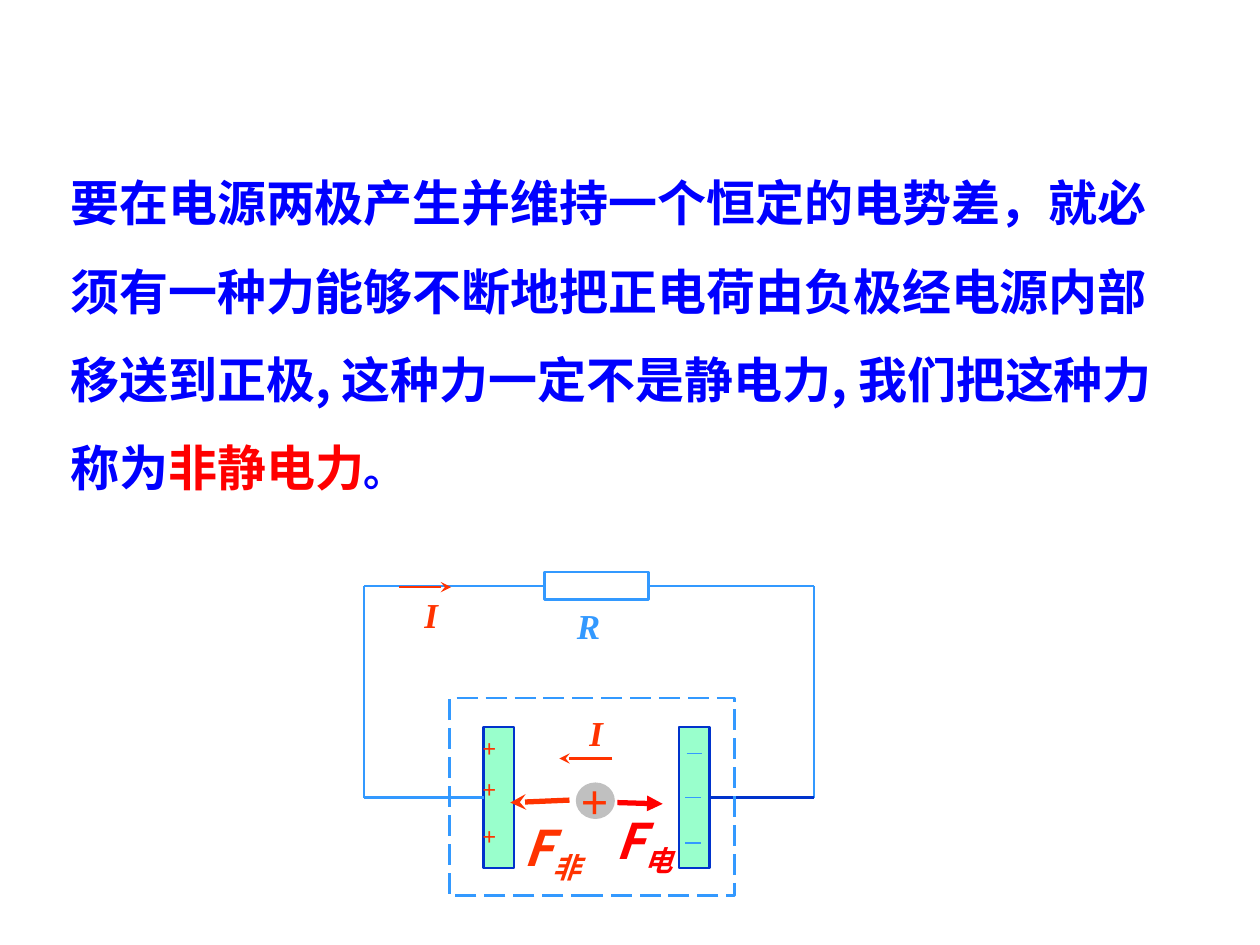
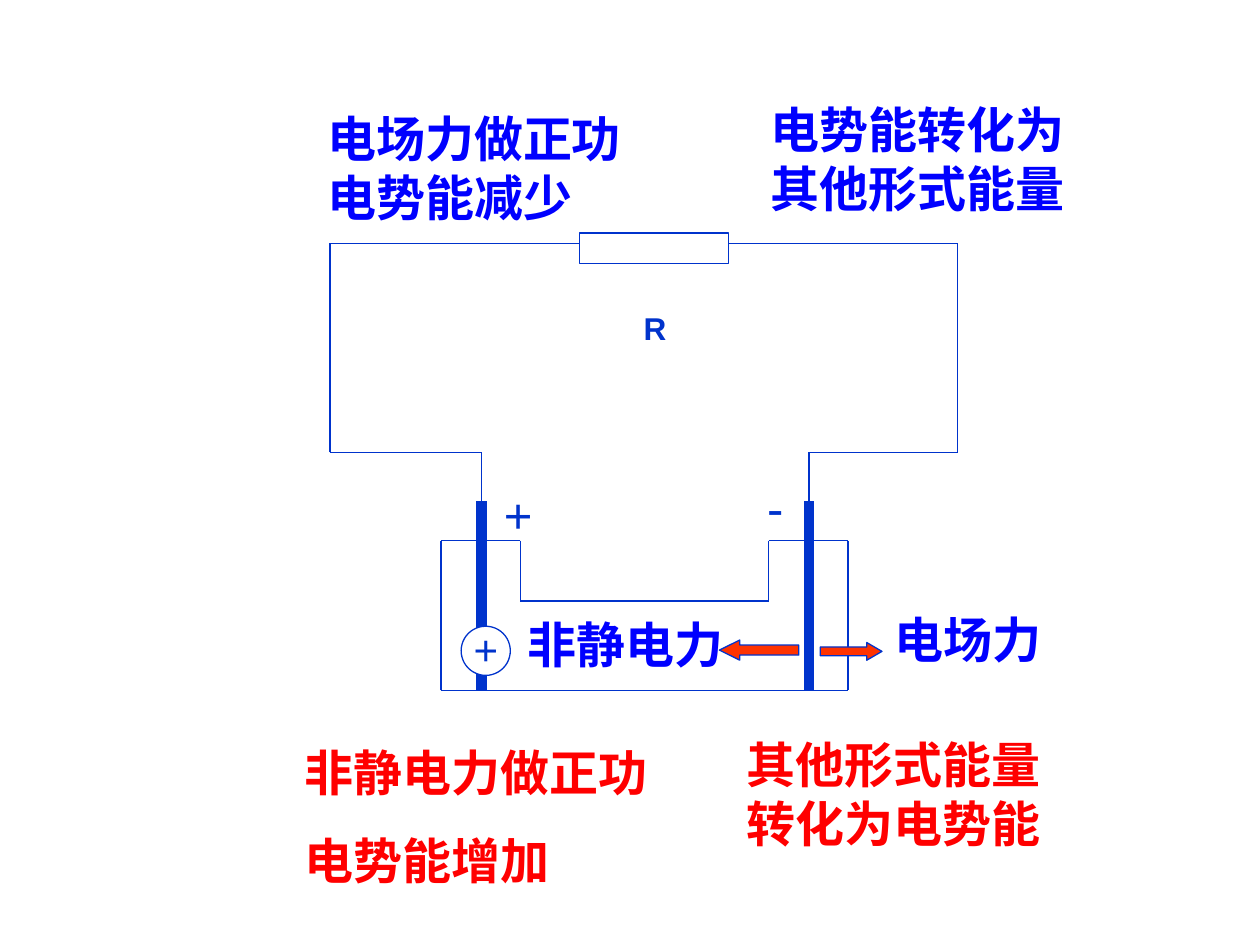
"""Build two slides on the non-electrostatic force in a circuit."""
from lxml.etree import SubElement
from pptx import Presentation
from pptx.dml.color import RGBColor
from pptx.enum.dml import MSO_LINE
from pptx.enum.shapes import MSO_CONNECTOR, MSO_SHAPE
from pptx.enum.text import PP_ALIGN
from pptx.oxml.ns import qn
from pptx.util import Inches, Pt

RECT, OVAL = MSO_SHAPE.RECTANGLE, MSO_SHAPE.OVAL
RIGHT, LEFT = MSO_SHAPE.RIGHT_ARROW, MSO_SHAPE.LEFT_ARROW
STRAIGHT, DASH, CENTER = MSO_CONNECTOR.STRAIGHT, MSO_LINE.LONG_DASH, PP_ALIGN.CENTER

SKY, NAVY, BLUE = "3399FF", "0033CC", "0000FF"
RED, FLAME, MINT, GREY, WHITE = "FF0000", "FF3300", "99FFCC", "C0C0C0", "FFFFFF"
HAN, ROMAN, SANS = "Noto Sans CJK SC", "Times New Roman", "Arial"

BOLD = {"bold": True}
SIGN = {"name": ROMAN, "size": 14, "bold": True, "color": FLAME}
CHARGE = SIGN | {"size": 28}
FLOW = SIGN | {"size": 20, "italic": True}
LOAD = FLOW | {"color": SKY}
PULL = {"name": HAN, "size": 28, "bold": True, "italic": True, "color": FLAME}
PUSH = PULL | {"color": RED}
BODY = {"name": HAN, "size": 28, "bold": True, "color": BLUE}
NOTE = BODY | {"name": SANS}
GAIN = NOTE | {"color": RED}
POLE = {"name": SANS, "size": 28, "color": NAVY}
SUB = {"base": -25000}

TOP, MID = 4.65, 6.33
FORCE = [
    ("box", "load", RECT, (4.32, 4.54, 0.83, 0.22), None, SKY, 1.5),
    ("wire", [("load", 1), (2.89, TOP), (2.89, MID), ("plus", 1)], SKY, 1.5),
    ("wire", [("load", 3), (6.46, TOP), (6.46, MID)], SKY, 1.5),
    ("wire", [("minus", 3), (6.46, MID)], NAVY, 1.5),
    *[("text", (3.73, y, 0.44, 0.34), [[("+", {})]], SIGN) for y in (5.77, 6.09, 6.47)],
    *[("wire", [(x, y), (x + 0.12, y)], SKY, 1)
      for x, y in ((5.45, 5.98), (5.44, 6.33), (5.44, 6.69))],
    ("box", "charge", OVAL, (4.57, 6.21, 0.31, 0.29), GREY),
    ("text", (4.51, 6.07, 0.42, 0.57), [[("+", {})]], CHARGE),
    ("wire", [(4.52, 6.35), (4.05, 6.37)], FLAME, 3, "stealth"),
    ("text", (4.06, 6.44, 1.47, 0.63), [[("F", {}), ("非", SUB)]], PULL),
    ("text", (4.48, 4.75, 0.38, 0.44), [[("R", {})]], LOAD),
    ("box", "source", RECT, (3.57, 5.54, 2.26, 1.57), None, SKY, 1.5, DASH),
    ("wire", [(4.86, 6.02), (4.44, 6.02)], FLAME, 1.5, "stealth"),
    ("text", (4.58, 5.6, 0.31, 0.44), [[("I", {})]], FLOW),
    ("wire", [(3.17, 4.66), (3.58, 4.66)], FLAME, 1.5, "stealth"),
    ("text", (3.27, 4.66, 0.31, 0.44), [[("I", {})]], FLOW),
    ("text", (0.46, 1.09, 9.12, 2.9), [[
        ("要在电源两极产生并维持一个恒定的电势差，就必须有一种力能够不断地把正电荷由负极经"
         "电源内部移送到正极, 这种力一定不是静电力, 我们把这种力称为", {}),
        ("非静电力", {"color": RED}),
        ("。", {"name": ROMAN, "size": 24})]], BODY, {"line_spacing": 1.5}),
    ("wire", [(4.9, 6.37), (5.26, 6.38)], RED, 3, "triangle"),
    ("text", (4.56, 6.38, 1.11, 0.63), [[("F", {}), ("电", SUB)]], PUSH,
     {"alignment": CENTER}),
]
PLATES = [("box", name, RECT, (x, 5.77, 0.24, 1.12), MINT, NAVY, 1.5)
          for name, x in (("plus", 3.84), ("minus", 5.39))]

TANK = [(3.5, 4.29), (4.13, 4.29), (4.13, 4.77), (6.1, 4.77), (6.1, 4.29),
        (6.73, 4.29), (6.73, 5.48), (3.5, 5.48), (3.5, 4.29)]
ENERGY = [
    ("wire", TANK, NAVY, 0.75),
    *[("wire", [(x, 3.98), (x, 5.48)], NAVY, 6) for x in (3.82, 6.42)],
    ("wire", [(3.82, 3.98), (3.82, 3.59), (2.62, 3.59), (2.62, 1.93), (4.6, 1.93)],
     NAVY, 0.75),
    ("wire", [(6.42, 3.98), (6.42, 3.59), (7.6, 3.59), (7.6, 1.93), (5.78, 1.93)],
     NAVY, 0.75),
    ("box", "load", RECT, (4.6, 1.85, 1.18, 0.24), None, NAVY, 0.75),
    ("text", (5.01, 2.4, 0.38, 0.4), [[("R", {})]], POLE | BOLD | {"size": 18}),
    ("box", "charge", OVAL, (3.66, 4.97, 0.39, 0.39), WHITE, NAVY, 0.75),
    ("text", (3.66, 4.9, 0.39, 0.5), [[("+", {})]], POLE | {"size": 24}),
    ("text", (3.9, 3.8, 0.42, 0.57), [[("+", {})]], POLE),
    ("text", (5.99, 3.74, 0.33, 0.57), [[("-", {})]], POLE),
    ("box", "field", RIGHT, (6.51, 5.1, 0.49, 0.14), FLAME, NAVY, 0.75, None, 0.86),
    ("text", (7, 4.79, 1.42, 0.57), [[("电场力", {})]], NOTE),
    ("box", "other", LEFT, (5.71, 5.08, 0.63, 0.16), FLAME, NAVY, 0.75, None, 1.01),
    ("text", (4.09, 4.83, 1.81, 0.57), [[("非静电力", {})]], NOTE),
    ("text", (2.5, 0.81, 3.07, 1.04), [[("电场力做正功", {})], [("电势能减少", {})]], NOTE),
    ("text", (6.02, 0.74, 2.95, 1.04), [[("电势能转化为", {})], [("其他形式能量", {})]], NOTE),
    ("text", (2.32, 5.61, 2.92, 1.5), [[("非静电力做正功", {})], [("电势能增加", {})]], GAIN,
     {"line_spacing": 1.5}, False),
    ("text", (5.83, 5.78, 2.53, 1.04), [[("其他形式能量", {})], [("转化为电势能", {})]], GAIN,
     {}, False),
]


def tint(code):
    """Turn a hex string into a colour."""
    return RGBColor.from_string(code)


def add_box(slide, parts, name, kind, at, fill, edge=None, width=1, dash=None, head=None):
    """Add a preset shape and keep it by name."""
    box = parts[name] = slide.shapes.add_shape(kind, *map(Inches, at))
    box.shadow.inherit = False
    if fill:
        box.fill.solid()
        box.fill.fore_color.rgb = tint(fill)
    else:
        box.fill.background()
    if edge:
        box.line.color.rgb = tint(edge)
        box.line.width = Pt(width)
        box.line.dash_style = dash
    else:
        box.line.fill.background()
    if head:
        box.adjustments[1] = head


def add_wire(slide, parts, stops, color, width, tip=None):
    """Add straight connectors through the stops, joined to named parts."""
    for pair in zip(stops, stops[1:]):
        ends = [(0, 0) if stop[0] in parts else stop for stop in pair]
        wire = slide.shapes.add_connector(STRAIGHT, *[Inches(n) for end in ends for n in end])
        for stop, join in zip(pair, (wire.begin_connect, wire.end_connect)):
            if stop[0] in parts:
                join(parts[stop[0]], stop[1])
        wire.line.color.rgb = tint(color)
        wire.line.width = Pt(width)
        props = wire._element.spPr
        if tip:
            SubElement(props.get_or_add_ln(), qn("a:tailEnd"), type=tip)
        SubElement(props, qn("a:effectLst"))


def add_text(slide, parts, at, paras, style, layout={}, wrap=True):
    """Add a text box of styled runs."""
    frame = slide.shapes.add_textbox(*map(Inches, at)).text_frame
    frame.word_wrap = wrap
    for i, runs in enumerate(paras):
        para = frame.add_paragraph() if i else frame.paragraphs[0]
        for key, value in layout.items():
            setattr(para, key, value)
        for words, change in runs:
            run = para.add_run()
            run.text = words
            look = style | change
            run.font.color.rgb = tint(look.pop("color"))
            base = look.pop("base", None)
            look["size"] = Pt(look["size"])
            for key, value in look.items():
                setattr(run.font, key, value)
            props = run._r.get_or_add_rPr()
            SubElement(props, qn("a:ea"), typeface=HAN)
            if base:
                props.set("baseline", str(base))


def main():
    """Draw both slides and save them."""
    deck = Presentation()
    deck.slide_width, deck.slide_height = Inches(10), Inches(7.5)
    tools = {"box": add_box, "wire": add_wire, "text": add_text}
    for items in (PLATES + FORCE, ENERGY):
        slide, parts = deck.slides.add_slide(deck.slide_layouts[6]), {}
        for kind, *args in items:
            tools[kind](slide, parts, *args)
    deck.save("out.pptx")


if __name__ == "__main__":
    main()
